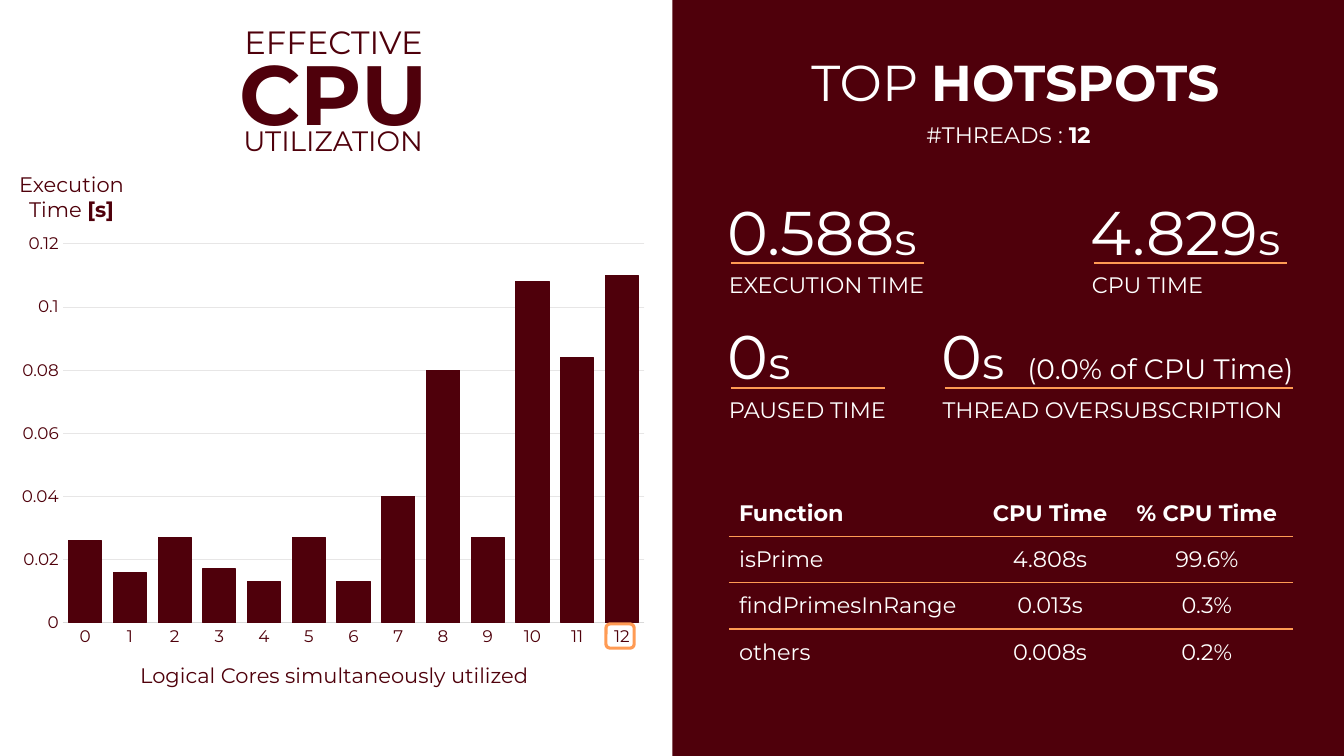
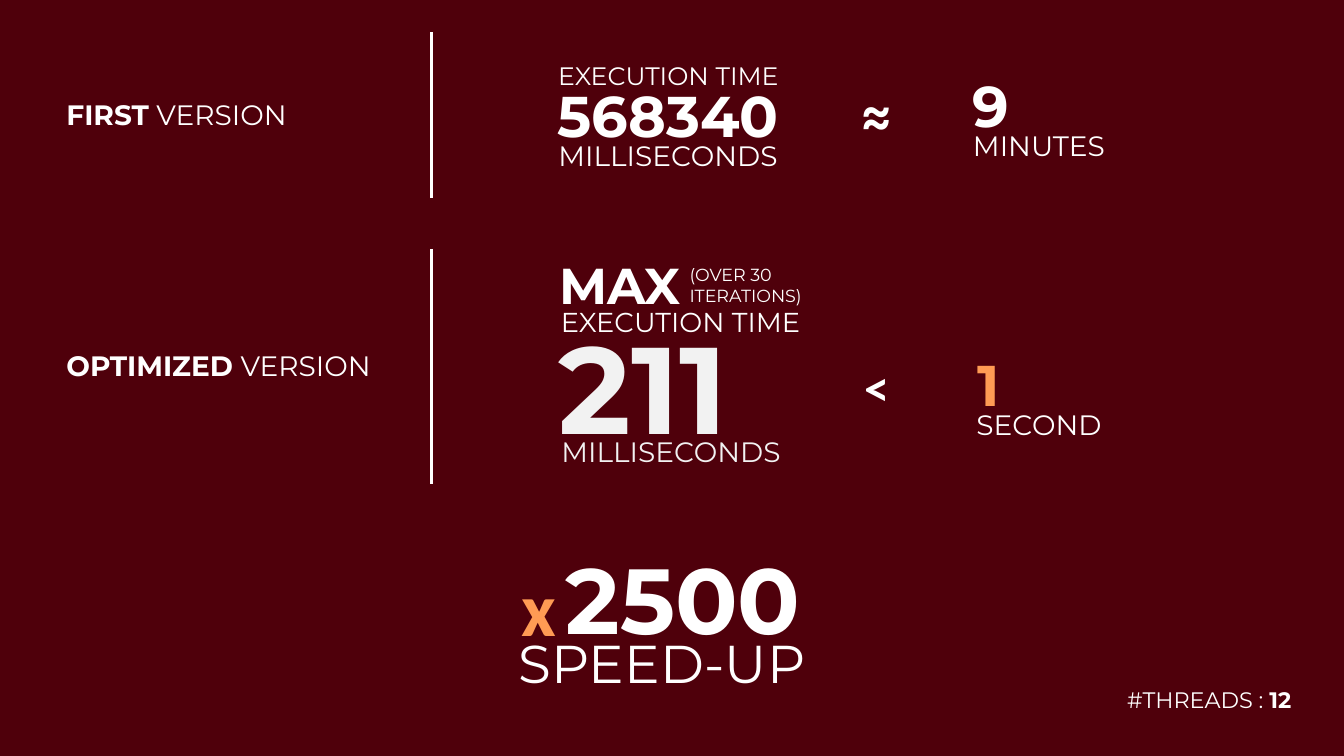
import typing

import lxml.etree
import pptx
import pptx.chart.data
import pptx.dml.color
import pptx.enum.chart
import pptx.enum.shapes
import pptx.enum.text
import pptx.oxml.ns
import pptx.util

MAROON = pptx.dml.color.RGBColor(0x4F, 0x00, 0x0B)
ORANGE = pptx.dml.color.RGBColor(0xFF, 0x9B, 0x54)
WHITE = pptx.dml.color.RGBColor(0xFF, 0xFF, 0xFF)
OFF_WHITE = pptx.dml.color.RGBColor(0xF2, 0xF2, 0xF2)
AXIS_GRAY = pptx.dml.color.RGBColor(0xD9, 0xD9, 0xD9)
GRID_GRAY = pptx.dml.color.RGBColor(0xE7, 0xE6, 0xE6)

EMU_PER_PX = 9144  # 100 px to the inch
SLIDE_WIDTH, SLIDE_HEIGHT = 1333, 750
FONT = "Montserrat"
SYMBOL_FONT = "Calibri"
LEFT = pptx.enum.text.PP_ALIGN.LEFT
CENTER = pptx.enum.text.PP_ALIGN.CENTER


class Run(typing.NamedTuple):
    text: str
    size: float
    color: pptx.dml.color.RGBColor = WHITE
    bold: bool = False
    font: str = FONT


def px(*lengths):
    return [pptx.util.Emu(length * EMU_PER_PX) for length in lengths]


def add_child(parent, tag, **attributes):
    return lxml.etree.SubElement(parent, pptx.oxml.ns.qn(tag), attributes)


def style_line(line, color, width):
    line.color.rgb = color
    line.width = pptx.util.Pt(width)


def set_border(cell, side, color=None, width=1):
    """Draw one cell side, or clear it when no color is given."""
    border = add_child(cell._tc.get_or_add_tcPr(), f"a:ln{side}",
                       w=str(pptx.util.Pt(width)))
    if color is None:
        add_child(border, "a:noFill")
    else:
        add_child(add_child(border, "a:solidFill"), "a:srgbClr", val=str(color))


class Deck:
    def __init__(self):
        self.presentation = pptx.Presentation()
        (self.presentation.slide_width,
         self.presentation.slide_height) = px(SLIDE_WIDTH, SLIDE_HEIGHT)
        self.slide = None

    def new_slide(self, background):
        self.slide = self.presentation.slides.add_slide(
            self.presentation.slide_layouts[6])
        fill = self.slide.background.fill
        fill.solid()
        fill.fore_color.rgb = background

    def add_runs(self, paragraph, runs, align):
        paragraph.alignment = align
        for item in runs:
            run = paragraph.add_run()
            run.text = item.text
            run.font.name = item.font
            run.font.size = pptx.util.Pt(item.size)
            run.font.bold = item.bold
            run.font.color.rgb = item.color

    def text(self, left, top, width, height, *runs, align=CENTER):
        box = self.slide.shapes.add_textbox(*px(left, top, width, height))
        box.text_frame.word_wrap = True
        paragraph = box.text_frame.paragraphs[0]
        self.add_runs(paragraph, runs, align)
        return paragraph

    def shape(self, kind, left, top, width, height, fill=None, line=None,
              line_width=1):
        shape = self.slide.shapes.add_shape(kind, *px(left, top, width, height))
        shape.shadow.inherit = False
        if fill is None:
            shape.fill.background()
        else:
            shape.fill.solid()
            shape.fill.fore_color.rgb = fill
        if line is None:
            shape.line.fill.background()
        else:
            style_line(shape.line, line, line_width)

    def line(self, left, top, right, bottom, color, width):
        connector = self.slide.shapes.add_connector(
            pptx.enum.shapes.MSO_CONNECTOR.STRAIGHT,
            *px(left, top, right, bottom))
        style_line(connector.line, color, width)
        add_child(connector._element.spPr, "a:effectLst")

    def thread_count(self, left, top):
        self.text(left, top, 206, 37, Run("#THREADS : ", 16),
                  Run("12", 16, bold=True), align=LEFT)

    def metric(self, left, baseline, width, number, caption, note=None):
        """A value in seconds above an underline and its caption."""
        runs = [Run(number, 44), Run("s", 32)]
        if note:
            runs.append(Run("\t" + note, 20))
        paragraph = self.text(left - 13, baseline - 74, width + 60, 84, *runs,
                              align=LEFT)
        if note:
            tabs = add_child(paragraph._p.get_or_add_pPr(), "a:tabLst")
            add_child(tabs, "a:tab", pos=str(px(85)[0]), algn="l")
        self.text(left - 12, baseline + 3, width + 40, 37, Run(caption, 16),
                  align=LEFT)
        self.line(left, baseline, left + width, baseline, ORANGE, 2)

    def version(self, top, first_word, line_top, line_bottom):
        self.text(56, top, 338, 44, Run(first_word, 20, bold=True),
                  Run(" VERSION", 20), align=LEFT)
        self.line(428, line_top, 428, line_bottom, WHITE, 2.25)

    def table(self, left, top, column_widths, row_height, rows):
        table = self.slide.shapes.add_table(
            len(rows), len(column_widths),
            *px(left, top, sum(column_widths), row_height * len(rows))).table
        table.first_row = table.horz_banding = False
        for column, width in zip(table.columns, px(*column_widths)):
            column.width = width
        for row_index, values in enumerate(rows):
            table.rows[row_index].height = px(row_height)[0]
            for column_index, value in enumerate(values):
                cell = table.cell(row_index, column_index)
                cell.vertical_anchor = pptx.enum.text.MSO_ANCHOR.MIDDLE
                self.add_runs(cell.text_frame.paragraphs[0],
                              [Run(value, 16, bold=row_index == 0)],
                              CENTER if column_index else LEFT)
                set_border(cell, "L")
                set_border(cell, "R")
                set_border(cell, "T", ORANGE if row_index else None)
                set_border(cell, "B",
                           ORANGE if row_index < len(rows) - 1 else None)
                cell.fill.solid()
                cell.fill.fore_color.rgb = MAROON

    def column_chart(self, left, top, width, height, values, maximum, step):
        data = pptx.chart.data.CategoryChartData()
        data.categories = [str(index) for index in range(len(values))]
        data.add_series("Series 1", values)
        chart = self.slide.shapes.add_chart(
            pptx.enum.chart.XL_CHART_TYPE.COLUMN_CLUSTERED,
            *px(left, top, width, height), data).chart
        chart.has_legend = chart.has_title = False
        chart.font.name = FONT
        chart.font.size = pptx.util.Pt(12)
        chart.font.color.rgb = MAROON

        plot = chart.plots[0]
        plot.gap_width, plot.overlap = 35, -22
        plot.vary_by_categories = False
        bars = plot.series[0].format
        bars.fill.solid()
        bars.fill.fore_color.rgb = MAROON
        style_line(bars.line, MAROON, 0.75)

        for axis in (chart.category_axis, chart.value_axis):
            axis.major_tick_mark = pptx.enum.chart.XL_TICK_MARK.NONE
            axis.minor_tick_mark = pptx.enum.chart.XL_TICK_MARK.NONE
        style_line(chart.category_axis.format.line, AXIS_GRAY, 0.75)
        value_axis = chart.value_axis
        value_axis.minimum_scale, value_axis.maximum_scale = 0, maximum
        value_axis.major_unit = step
        value_axis.format.line.fill.background()
        style_line(value_axis.major_gridlines.format.line, GRID_GRAY, 0.75)
        self.place_plot(chart, x=0.08, y=0.04, w=0.9, h=0.88)

    def place_plot(self, chart, **fractions):
        """Fix the inner plot area as fractions of the chart."""
        plot_area = chart._chartSpace.chart.plotArea
        for old_layout in plot_area.findall(pptx.oxml.ns.qn("c:layout")):
            plot_area.remove(old_layout)
        layout = add_child(plot_area, "c:layout")
        plot_area.insert(0, layout)
        manual = add_child(layout, "c:manualLayout")
        add_child(manual, "c:layoutTarget", val="inner")
        for name in "xy":
            add_child(manual, f"c:{name}Mode", val="edge")
        for name, fraction in fractions.items():
            add_child(manual, f"c:{name}", val=str(fraction))


def build_utilization(deck):
    shapes = pptx.enum.shapes.MSO_SHAPE
    deck.new_slide(WHITE)
    deck.shape(shapes.RECTANGLE, 667, 0, SLIDE_WIDTH - 667, SLIDE_HEIGHT,
               fill=MAROON)

    deck.text(196, 17, 270, 49, Run("EFFECTIVE", 23, MAROON))
    deck.text(208, 36, 245, 111, Run("CPU", 60, MAROON, bold=True))
    deck.text(211, 118, 239, 44, Run("UTILIZATION", 20, MAROON))
    deck.column_chart(11, 225, 641, 427,
                      [0.026, 0.016, 0.027, 0.017, 0.013, 0.027, 0.013,
                       0.04, 0.08, 0.027, 0.108, 0.084, 0.11], 0.12, 0.02)
    deck.text(82, 652, 499, 35,
              Run("Logical Cores simultaneously utilized", 15, MAROON))
    deck.text(-1, 165, 144, 61, Run("Execution Time ", 15, MAROON),
              Run("[s]", 15, MAROON, bold=True))
    deck.shape(shapes.ROUNDED_RECTANGLE, 601, 619, 28, 24, line=ORANGE,
               line_width=2.25)

    deck.text(675, 46, 664, 71, Run("TOP ", 36), Run("HOTSPOTS", 36, bold=True))
    deck.thread_count(909, 115)
    deck.metric(725, 261, 191, "0.588", "EXECUTION TIME")
    deck.metric(1085, 261, 191, "4.829", "CPU TIME")
    deck.metric(725, 385, 153, "0", "PAUSED TIME")
    deck.metric(937, 385, 345, "0", "THREAD OVERSUBSCRIPTION",
                "(0.0% of CPU Time)")
    deck.table(723, 486, [248, 141, 170], 46, [
        ["Function", "CPU Time", "% CPU Time"],
        ["isPrime", "4.808s", "99.6%"],
        ["findPrimesInRange", "0.013s", "0.3%"],
        ["others", "0.008s", "0.2%"],
    ])


def build_speed_up(deck):
    deck.new_slide(MAROON)
    deck.thread_count(1108, 676)

    deck.version(92, "FIRST", 32, 196)
    deck.text(515, 55, 296, 40, Run("EXECUTION TIME", 18))
    deck.text(522, 75, 282, 79, Run("568340", 41, bold=True))
    deck.text(428, 133, 469, 44, Run("MILLISECONDS", 20))
    deck.text(818, 80, 102, 71, Run("≈", 36, bold=True))
    deck.text(897, 65, 172, 79, Run("9", 41, bold=True))
    deck.text(895, 123, 271, 44, Run("MINUTES", 20))

    deck.version(341, "OPTIMIZED", 247, 480)
    deck.text(526, 247, 178, 71, Run("MAX", 36, bold=True))
    deck.text(674, 257, 145, 52, Run("(OVER 30 ITERATIONS)", 12.5), align=LEFT)
    deck.text(484, 298, 382, 44, Run("EXECUTION TIME", 19.5))
    deck.text(497, 304, 282, 158, Run("211", 88, OFF_WHITE, bold=True))
    deck.text(431, 426, 469, 44, Run("MILLISECONDS", 20, OFF_WHITE))
    deck.text(813, 348, 113, 71, Run("<", 36, bold=True, font=SYMBOL_FONT))
    deck.text(895, 341, 172, 79, Run("1", 41, ORANGE, bold=True))
    deck.text(895, 399, 271, 44, Run("SECOND", 20))

    deck.text(474, 620, 365, 74, Run("SPEED-UP", 38))
    deck.text(495, 533, 365, 121, Run("2500", 66, bold=True))
    deck.text(507, 552, 41, 101, Run("x", 54, ORANGE, True, SYMBOL_FONT),
              align=LEFT)


def main():
    deck = Deck()
    build_utilization(deck)
    build_speed_up(deck)
    deck.presentation.save("out.pptx")


if __name__ == "__main__":
    main()
